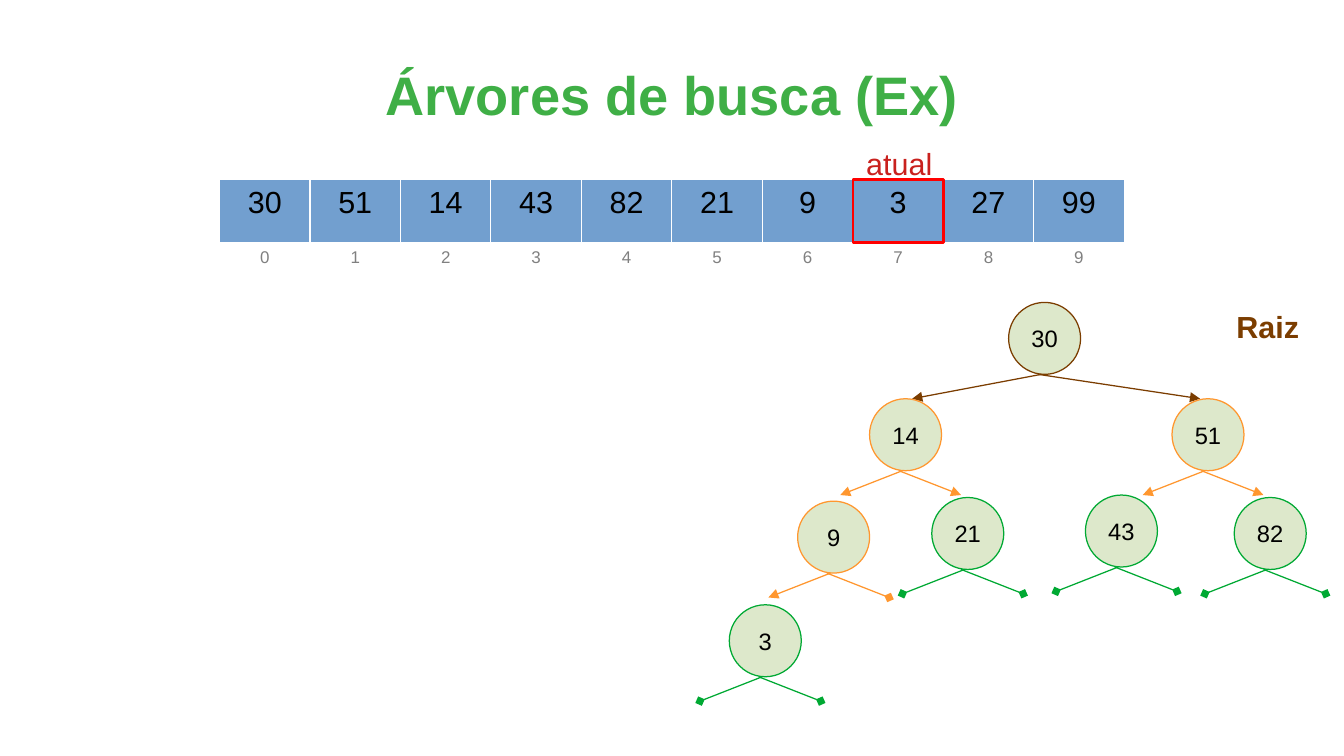
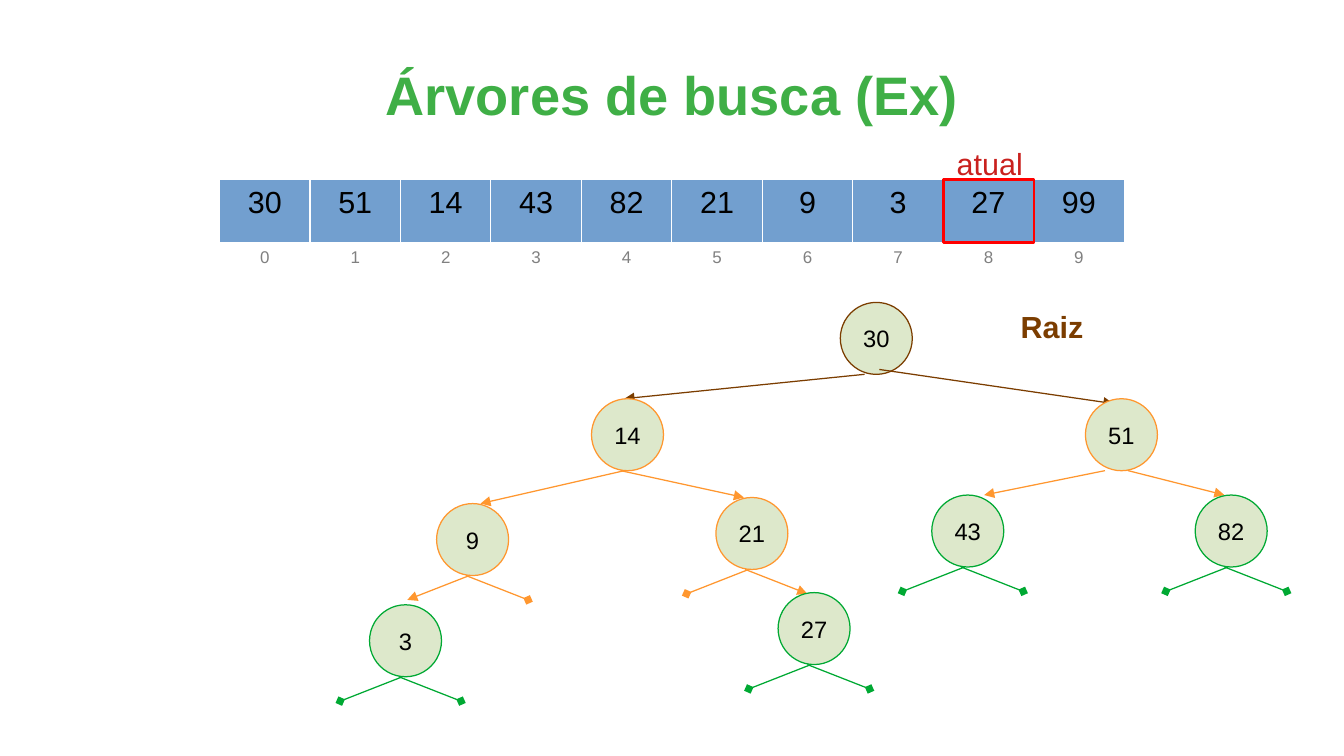
from lxml import etree
from pptx import Presentation
from pptx.dml.color import RGBColor
from pptx.enum import shapes, text
from pptx.oxml.ns import qn
from pptx.util import Inches, Pt

# Content
TITLE = "Árvores de busca (Ex)"
ARRAY = [30, 51, 14, 43, 82, 21, 9, 3, 27, 99]

# "current" is the array index being inserted; "nodes" gives each circle's corner;
# "branches" lists the (left, right) lines that do not follow the standard fork
STEPS = [
    {
        "current": 7,
        "root_label": 10.04,
        "nodes": {30: (8.27, 2.48), 51: (9.61, 3.27), 14: (7.13, 3.27),
                  43: (8.9, 4.06), 82: (10.12, 4.08), 21: (7.64, 4.08),
                  9: (6.54, 4.11), 3: (5.98, 4.96)},
        "branches": {30: ((8.54, 3.07, 7.48, 3.27), (8.51, 3.07, 9.84, 3.27))},
    },
    {
        "current": 8,
        "root_label": 8.27,
        "nodes": {30: (6.89, 2.48), 51: (8.9, 3.27), 14: (4.85, 3.27),
                  43: (7.64, 4.06), 82: (9.8, 4.06), 21: (5.87, 4.08),
                  9: (3.58, 4.13), 3: (3.03, 4.96), 27: (6.38, 4.86)},
        "branches": {30: ((7.09, 3.07, 5.12, 3.27), (7.21, 3.03, 9.13, 3.31)),
                     51: ((9.06, 3.86, 8.07, 4.06), (9.25, 3.86, 10.04, 4.06)),
                     14: ((5.12, 3.86, 3.94, 4.13), (5.09, 3.86, 6.1, 4.08))},
    },
]

# Shared style
FONT = "Arial"
TITLE_GREEN, RED, DARK_RED = "3FAF46", "FF0000", "C9211E"
ROOT_BROWN, PARENT_ORANGE, LEAF_GREEN = "7B3D00", "FF972F", "00A933"
NODE_FILL, CELL_BLUE = "DDE8CB", "729FCF"
WHITE, BLACK, GRAY = "FFFFFF", "000000", "808080"
ARRAY_LEFT, ARRAY_TOP, ARRAY_WIDTH = 1.8, 1.47, 7.42
VALUE_HEIGHT, INDEX_HEIGHT = 0.52, 0.29
CELL_WIDTH = ARRAY_WIDTH / len(ARRAY)
DIAMETER = 0.59


def color(hex_string):
    return RGBColor.from_string(hex_string)


def box(*lengths):
    return [Inches(length) for length in lengths]


def write(text_frame, content, size, hex_color, bold=False, align=text.PP_ALIGN.CENTER):
    text_frame.text = str(content)
    paragraph = text_frame.paragraphs[0]
    paragraph.alignment = align
    font = paragraph.runs[0].font
    font.name, font.size, font.bold = FONT, Pt(size), bold
    font.color.rgb = color(hex_color)


def add_label(container, content, left, top, width, height, hex_color, bold=False):
    text_frame = container.add_textbox(*box(left, top, width, height)).text_frame
    text_frame.word_wrap = True
    write(text_frame, content, 18, hex_color, bold, text.PP_ALIGN.LEFT)


def add_outlined(container, kind, bounds, line_color, line_width):
    shape = container.add_shape(kind, *box(*bounds))
    shape.shadow.inherit = False
    shape.fill.background()
    shape.line.color.rgb = color(line_color)
    shape.line.width = Pt(line_width)
    return shape


def add_branch(container, ends, line_color, head):
    connector = container.add_connector(shapes.MSO_CONNECTOR.STRAIGHT, *box(*ends))
    connector.line.color.rgb = color(line_color)
    connector.line.width = Pt(0.75)
    properties = connector._element.spPr
    etree.SubElement(properties.find(qn("a:ln")), qn("a:tailEnd"), type=head)
    etree.SubElement(properties, qn("a:effectLst"))


def set_borders(cell):
    properties = cell._tc.get_or_add_tcPr()
    for position, side in enumerate(("a:lnL", "a:lnR", "a:lnT", "a:lnB")):
        line = etree.Element(qn(side), w=str(Pt(0.75)))
        fill = etree.SubElement(line, qn("a:solidFill"))
        etree.SubElement(fill, qn("a:srgbClr"), val=WHITE)
        properties.insert(position, line)


def add_array(slide):
    bounds = box(ARRAY_LEFT, ARRAY_TOP, ARRAY_WIDTH, VALUE_HEIGHT + INDEX_HEIGHT)
    table = slide.shapes.add_table(2, len(ARRAY), *bounds).table
    table.first_row = table.horz_banding = False
    rows = [(ARRAY, VALUE_HEIGHT, 18, BLACK, CELL_BLUE),
            (range(len(ARRAY)), INDEX_HEIGHT, 10, GRAY, WHITE)]
    for row, (values, height, size, text_color, fill) in enumerate(rows):
        table.rows[row].height = Inches(height)
        for column, value in enumerate(values):
            table.columns[column].width = Inches(CELL_WIDTH)
            cell = table.cell(row, column)
            cell.fill.solid()
            cell.fill.fore_color.rgb = color(fill)
            set_borders(cell)
            write(cell.text_frame, value, size, text_color)


def add_current_marker(slide, index):
    left = ARRAY_LEFT + index * CELL_WIDTH
    marker = slide.shapes.add_group_shape().shapes
    add_outlined(marker, shapes.MSO_SHAPE.RECTANGLE,
                 (left, ARRAY_TOP, CELL_WIDTH, VALUE_HEIGHT), RED, 1.5)
    add_label(marker, "atual", left + 0.01, 1.14, 0.79, 0.39, DARK_RED)


def search_tree(values):
    """Insert the values in order; map each to its [left, right] children."""
    children = {values[0]: [None, None]}
    for value in values[1:]:
        node = values[0]
        while node is not None:
            parent, side = node, int(value > node)
            node = children[parent][side]
        children[parent][side] = value
        children[value] = [None, None]
    return children


def standard_fork(left, top):
    bottom, end = top + DIAMETER, top + 0.79
    return ((left + 0.27, bottom, left - 0.24, end),
            (left + 0.24, bottom, left + 0.75, end))


def add_tree(slide, step):
    values = ARRAY[:step["current"] + 1]
    for value, children in search_tree(values).items():
        is_leaf = children == [None, None]
        line_color = LEAF_GREEN if is_leaf else PARENT_ORANGE
        if value == values[0]:
            line_color = ROOT_BROWN
        left, top = step["nodes"][value]
        group = slide.shapes.add_group_shape().shapes
        circle = add_outlined(group, shapes.MSO_SHAPE.OVAL,
                              (left, top, DIAMETER, DIAMETER), line_color, 0.75)
        circle.fill.solid()
        circle.fill.fore_color.rgb = color(NODE_FILL)
        circle.text_frame.word_wrap = False
        circle.text_frame.vertical_anchor = text.MSO_ANCHOR.MIDDLE
        write(circle.text_frame, value, 14, BLACK)
        branches = step["branches"].get(value, standard_fork(left, top))
        for child, ends in zip(children, branches):
            add_branch(group, ends, line_color, "diamond" if child is None else "triangle")


def add_title(slide):
    title = slide.shapes.title
    title.left, title.top, title.width, title.height = box(0.55, 0.25, 9.92, 1.04)
    frame = title.text_frame
    frame.margin_left = frame.margin_right = frame.margin_top = frame.margin_bottom = 0
    frame.vertical_anchor = text.MSO_ANCHOR.MIDDLE
    write(frame, TITLE, 32, TITLE_GREEN, bold=True)


def main():
    presentation = Presentation()
    presentation.slide_width, presentation.slide_height = box(11.02, 6.2)
    for step in STEPS:
        slide = presentation.slides.add_slide(presentation.slide_layouts[5])
        add_title(slide)
        add_array(slide)
        add_current_marker(slide, step["current"])
        add_label(slide.shapes, "Raiz", step["root_label"], 2.48, 0.98, 0.38, ROOT_BROWN, True)
        add_tree(slide, step)
    presentation.save("out.pptx")


if __name__ == "__main__":
    main()
